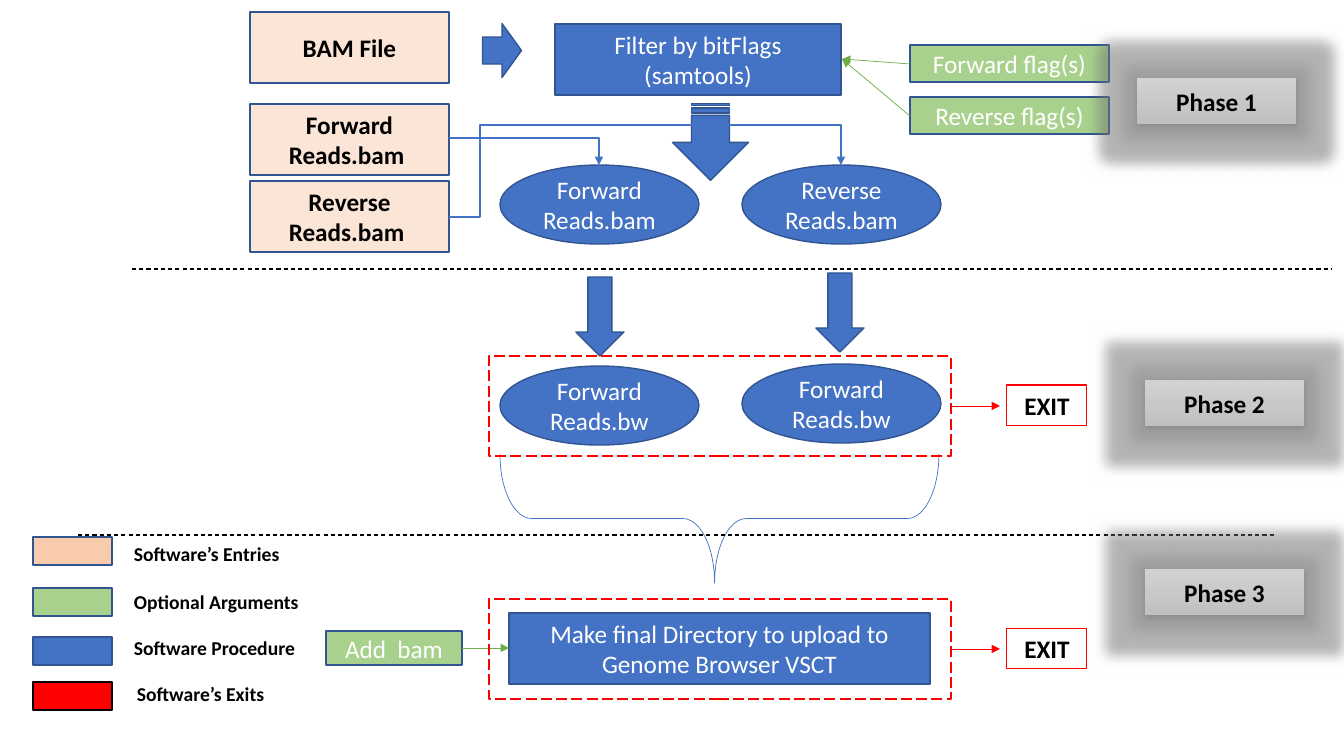
"""Build the three-phase BAM processing flowchart slide."""
import dataclasses
import typing

import lxml.etree
import pptx
import pptx.dml.color
import pptx.enum.dml
import pptx.enum.shapes
import pptx.enum.text
import pptx.oxml.ns
import pptx.util

EMU_PER_PIXEL = 914400 / 100.8
COLORS = {
    "entry": "FBE5D6", "entry key": "F8CBAD", "option": "A9D18E", "procedure": "4472C4",
    "exit": "FF0000", "outline": "325491", "option arrow": "70AD47", "black": "000000",
    "white": "FFFFFF", "phase top": "D2D2D2", "phase bottom": "C0C0C0", "glow": "A5A5A5",
}
KIND = pptx.enum.shapes.MSO_SHAPE
DASH = pptx.enum.dml.MSO_LINE
qn = pptx.oxml.ns.qn


@dataclasses.dataclass
class Node:
    """A filled or outlined preset shape with optional text."""
    left: int
    top: int
    width: int
    height: int
    fill: str | None = None
    text: str = ""
    kind: KIND = KIND.RECTANGLE
    outline: str | None = "outline"
    weight: float = 1
    dash: DASH | None = None
    ink: str = "white"
    bold: bool = False
    rotation: int = 0
    adjustments: tuple[float, ...] = ()


@dataclasses.dataclass
class Link:
    """A connector between two points."""
    start: tuple[int, int]
    end: tuple[int, int]
    color: str
    weight: float = 0.5
    arrow: bool = True
    dash: DASH | None = None
    bend: str = ""
    adjustments: tuple[int, ...] = ()


def px(value: float) -> int:
    """Turn pixels into EMU."""
    return round(value * EMU_PER_PIXEL)


def rgb(name: str) -> pptx.dml.color.RGBColor:
    """Look up a named colour."""
    return pptx.dml.color.RGBColor.from_string(COLORS[name])


def write(frame: typing.Any, text: str, size: int, ink: str, bold: bool, centred: bool) -> None:
    """Fill a text frame with one formatted run."""
    frame.word_wrap = True
    align = pptx.enum.text.PP_ALIGN
    frame.paragraphs[0].alignment = align.CENTER if centred else align.LEFT
    run = frame.paragraphs[0].add_run()
    run.text = text
    run.font.name = "Calibri"
    run.font.size = pptx.util.Pt(size)
    run.font.bold = bold
    run.font.color.rgb = rgb(ink)


def draw_node(shapes: typing.Any, node: Node) -> typing.Any:
    """Draw one node and return its shape."""
    shape = shapes.add_shape(node.kind, px(node.left), px(node.top), px(node.width), px(node.height))
    shape.shadow.inherit = False
    shape.rotation = node.rotation
    for index, value in enumerate(node.adjustments):
        shape.adjustments[index] = value
    if node.fill:
        shape.fill.solid()
        shape.fill.fore_color.rgb = rgb(node.fill)
    else:
        shape.fill.background()
    if node.outline:
        shape.line.color.rgb = rgb(node.outline)
        shape.line.width = pptx.util.Pt(node.weight)
        if node.dash:
            shape.line.dash_style = node.dash
    else:
        shape.line.fill.background()
    if node.text:
        shape.text_frame.vertical_anchor = pptx.enum.text.MSO_ANCHOR.MIDDLE
        write(shape.text_frame, node.text, 18, node.ink, node.bold, True)
    return shape


def draw_link(shapes: typing.Any, link: Link) -> None:
    """Draw one straight or bent connector."""
    types = pptx.enum.shapes.MSO_CONNECTOR
    connector = shapes.add_connector(types.ELBOW if link.bend else types.STRAIGHT,
                                     *map(px, link.start + link.end))
    connector.line.color.rgb = rgb(link.color)
    connector.line.width = pptx.util.Pt(link.weight)
    if link.dash:
        connector.line.dash_style = link.dash
    properties = connector._element.spPr
    if link.arrow:
        lxml.etree.SubElement(properties.find(qn("a:ln")), qn("a:tailEnd"), type="triangle")
    lxml.etree.SubElement(properties, qn("a:effectLst"))
    if link.bend:
        geometry = properties.find(qn("a:prstGeom"))
        geometry.set("prst", link.bend)
        guides = geometry.find(qn("a:avLst"))
        for number, value in enumerate(link.adjustments, 1):
            lxml.etree.SubElement(guides, qn("a:gd"), name=f"adj{number}", fmla=f"val {value}")


def draw_phase(shapes: typing.Any, left: int, top: int, text: str) -> None:
    """Draw a glowing grey phase label."""
    label = draw_node(shapes, Node(left, top, 159, 46, None, text, outline=None, ink="black", bold=True))
    label.fill.gradient()
    label.fill.gradient_angle = 270
    for stop, name in zip(label.fill.gradient_stops, ("phase top", "phase bottom")):
        stop.color.rgb = rgb(name)
    effects = label._element.spPr.find(qn("a:effectLst"))
    glow = lxml.etree.SubElement(effects, qn("a:glow"), rad=str(px(25)))
    shadow = lxml.etree.SubElement(effects, qn("a:outerShdw"), blurRad="57150", dist="19050",
                                   dir="5400000", algn="ctr", rotWithShape="0")
    for effect, name, alpha in ((glow, "glow", "40000"), (shadow, "black", "63000")):
        tint = lxml.etree.SubElement(effect, qn("a:srgbClr"), val=COLORS[name])
        lxml.etree.SubElement(tint, qn("a:alpha"), val=alpha)


def draw_key(shapes: typing.Any, top: int, fill: str, outline: str,
             left: int, text_top: int, text: str) -> None:
    """Draw one legend swatch and its caption."""
    draw_node(shapes, Node(33, top, 79, 28, fill, outline=outline))
    caption = shapes.add_textbox(px(left), px(text_top), px(190), px(34))
    write(caption.text_frame, text, 14, "black", True, False)
    caption.text_frame.auto_size = pptx.enum.text.MSO_AUTO_SIZE.SHAPE_TO_FIT_TEXT


def draw_exit(shapes: typing.Any, top: int) -> None:
    """Draw a dashed zone with its arrow to an exit box."""
    group = shapes.add_group_shape().shapes
    draw_node(group, Node(489, top, 462, 100, outline="exit", dash=DASH.LONG_DASH))
    draw_link(group, Link((950, top + 50), (1000, top + 50), "exit"))
    draw_node(group, Node(1007, top + 29, 80, 41, None, "EXIT", outline="exit", weight=0.75,
                          ink="black", bold=True))


presentation = pptx.Presentation()
presentation.slide_width, presentation.slide_height = px(1344), px(756)
canvas = presentation.slides.add_slide(presentation.slide_layouts[6]).shapes

for top, fill, outline, left, text_top, text in (
    (537, "entry key", "outline", 124, 537, "Software’s Entries"),
    (588, "option", "outline", 124, 585, "Optional Arguments"),
    (637, "procedure", "outline", 124, 631, "Software Procedure"),
    (682, "exit", "black", 127, 677, "Software’s Exits"),
):
    draw_key(canvas, top, fill, outline, left, text_top, text)

for top, text in ((12, "BAM File"), (104, "Forward Reads.bam "), (181, "Reverse Reads.bam ")):
    draw_node(canvas, Node(250, top, 199, 71, "entry", text, ink="black", bold=True))
for top, text in ((45, "Forward flag(s)"), (97, "Reverse flag(s)")):
    draw_node(canvas, Node(910, top, 199, 37, "option", text))
    draw_link(canvas, Link((910, top + 19), (842, 59), "option arrow"))
for left, top, text in ((500, 165, "Forward Reads.bam"), (742, 165, "Reverse Reads.bam"),
                        (500, 366, "Forward Reads.bw"), (742, 364, "Forward Reads.bw")):
    draw_node(canvas, Node(left, top, 199, 79, "procedure", text, KIND.OVAL))
for step in (
    Node(555, 24, 286, 71, "procedure", "Filter by bitFlags (samtools)"),
    Node(475, 31, 54, 39, "procedure", kind=KIND.DOWN_ARROW, rotation=270),
    Node(672, 104, 77, 76, "procedure", kind=KIND.STRIPED_RIGHT_ARROW, rotation=90),
    Node(576, 277, 48, 79, "procedure", kind=KIND.DOWN_ARROW),
    Node(816, 273, 48, 79, "procedure", kind=KIND.DOWN_ARROW),
    Node(655, 299, 129, 439, kind=KIND.LEFT_BRACE, outline="procedure", weight=0.5,
         rotation=270, adjustments=(0.245, 0.489)),
    Node(509, 613, 421, 71, "procedure", "Make final Directory to upload to Genome Browser VSCT"),
    Node(326, 631, 136, 34, "option", "Add  bam"),
):
    draw_node(canvas, step)
for link in (
    Link((132, 269), (1331, 269), "black", 0.75, False, DASH.DASH),
    Link((78, 535), (1275, 535), "black", 0.75, False, DASH.DASH),
    Link((449, 217), (841, 165), "procedure", 1.5, bend="bentConnector4", adjustments=(8000, 177300)),
    Link((449, 138), (599, 165), "procedure", 1.5, bend="bentConnector2"),
    Link((462, 648), (509, 648), "option arrow"),
):
    draw_link(canvas, link)
for number, (left, top) in enumerate(((1137, 78), (1145, 380), (1145, 569)), 1):
    draw_phase(canvas, left, top, f"Phase {number}")
for top in (356, 599):
    draw_exit(canvas, top)

presentation.save("out.pptx")
